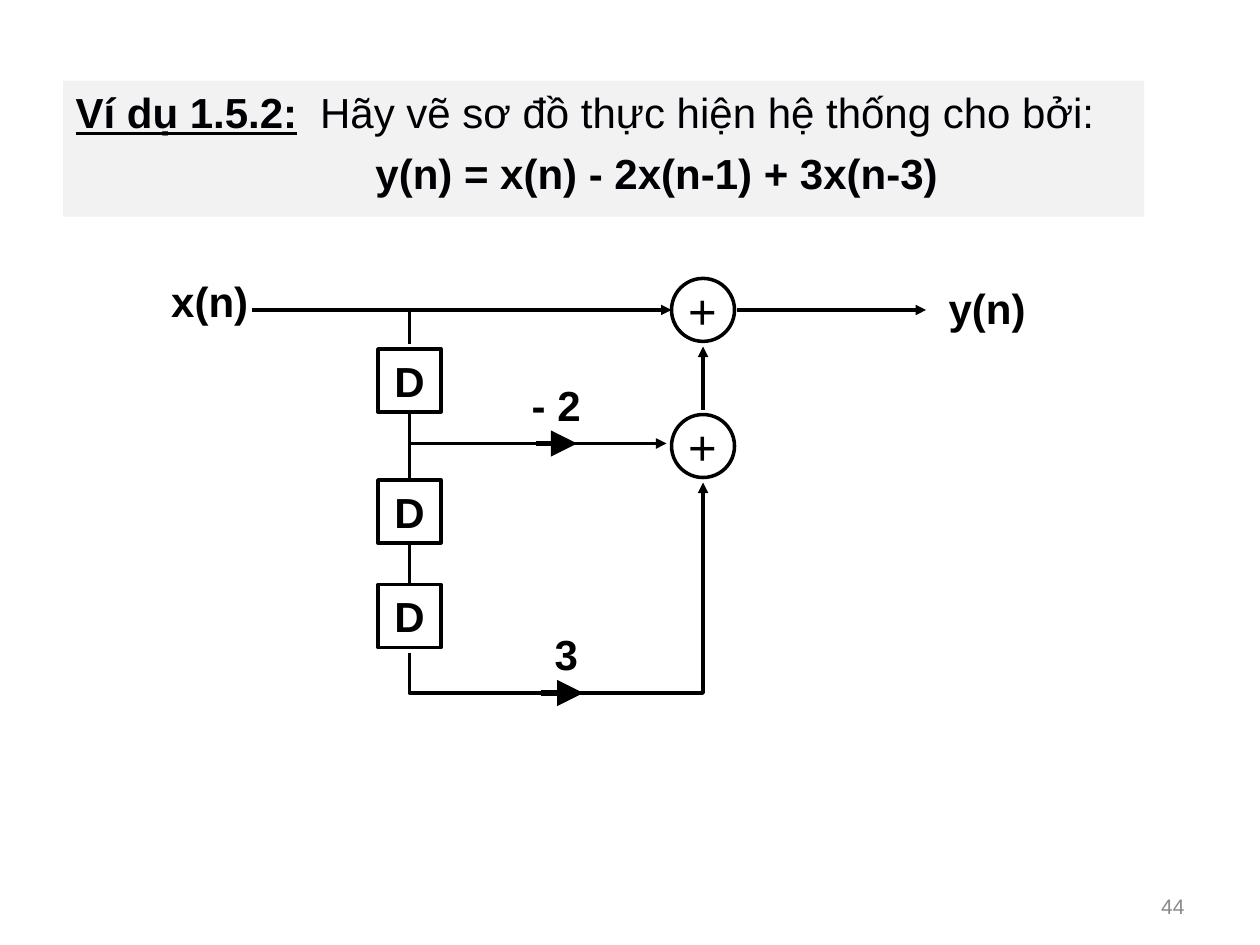
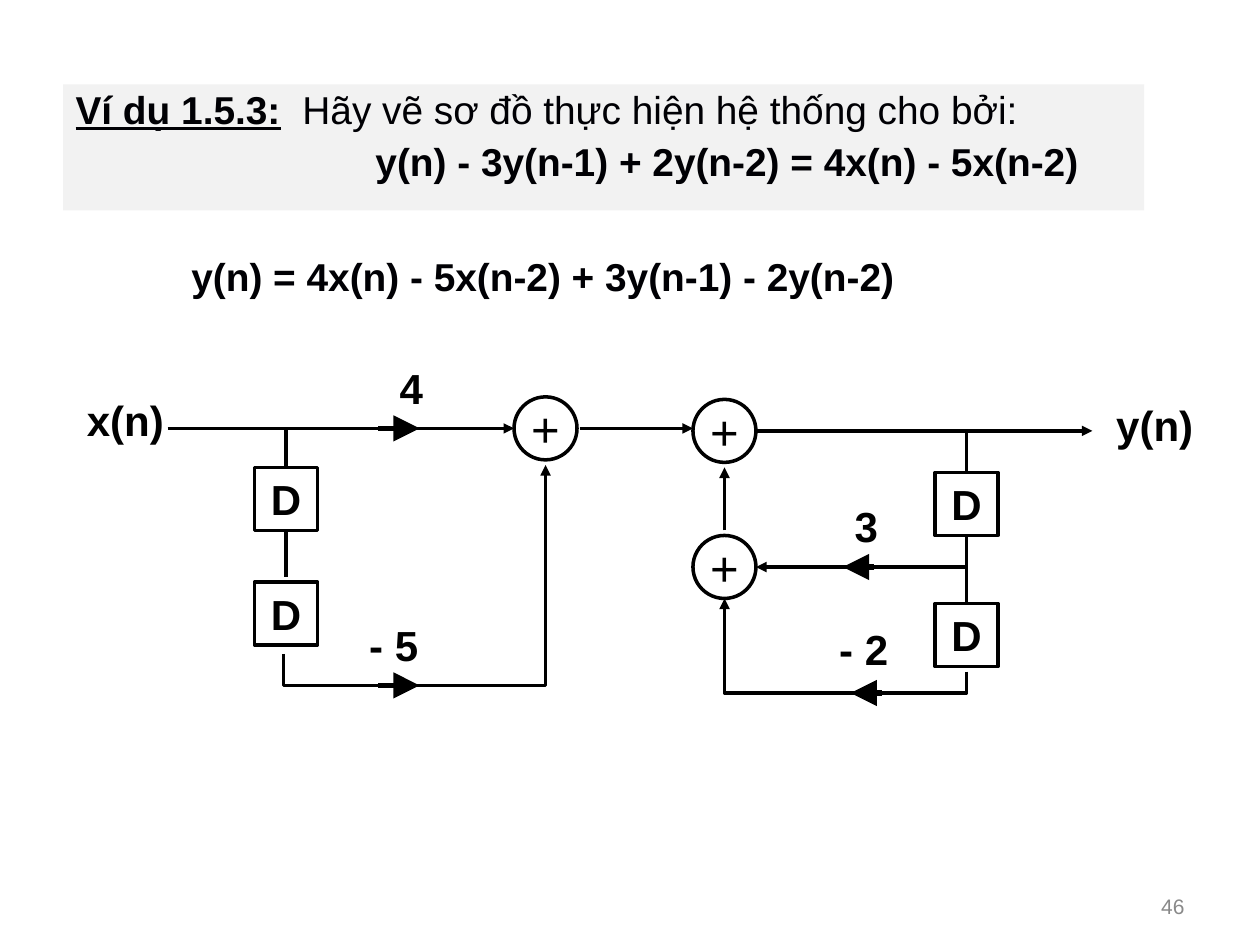
from dataclasses import dataclass
from lxml import etree
from pptx import Presentation
from pptx.dml.color import RGBColor
from pptx.enum.shapes import MSO_CONNECTOR, MSO_SHAPE
from pptx.enum.text import MSO_ANCHOR, MSO_AUTO_SIZE, PP_ALIGN
from pptx.oxml.ns import qn
from pptx.util import Inches, Pt

RECT, OVAL = MSO_SHAPE.RECTANGLE, MSO_SHAPE.OVAL
LINE = MSO_CONNECTOR.STRAIGHT
TOP, MIDDLE = MSO_ANCHOR.TOP, MSO_ANCHOR.MIDDLE
LEFT, CENTER, RIGHT = PP_ALIGN.LEFT, PP_ALIGN.CENTER, PP_ALIGN.RIGHT
NO_FIT = MSO_AUTO_SIZE.NONE


@dataclass(frozen=True)
class Theme:
    face: str = "Arial"
    ink: str = "000000"
    head: str = "000004"
    band: str = "F2F2F2"
    gray: str = "898989"
    label: float = 24
    plus: float = 28
    foot: float = 12
    wire: float = 2
    gain: float = 3


THEME = Theme()
NODE = 0.5
LABEL = (0.83, 0.5)
SNAP = 0.03
INDENT = 2.38
TASK = "Hãy vẽ sơ đồ thực hiện hệ thống cho bởi:"

SLIDES = [
    dict(
        name="Ví dụ 1.5.2:", rule="y(n) = x(n) - 2x(n-1) + 3x(n-3)",
        band=(0.5, 0.64, 8.58, 1.08), size=24, lead=1, tab=1.94,
        note=None, page="44",
        delays=[(3, 2.77), (3, 3.81), (3, 4.64)],
        sums=[(5.33, 2.21), (5.33, 3.29)],
        labels=[("x(n)", 1.25, 2.14), ("y(n)", 7.42, 2.19),
                ("- 2", 4, 2.96), ("3", 4.08, 4.94)],
        wires=[(3.25, 2.46, 3.25, 2.73), (3.25, 3.29, 3.25, 3.79),
               (3.25, 4.33, 3.25, 4.64)],
        arrows=[(2, 2.46, 5.33, 2.46), (5.85, 2.46, 7.35, 2.46),
                (3.25, 3.52, 5.29, 3.52), (5.58, 3.25, 5.58, 2.75)],
        gains=[(4.25, 3.52, 4.58, 3.52), (4.29, 5.5, 4.63, 5.5)],
        bends=[(3.25, 5.18, 5.5, 5.58, 3.83)],
    ),
    dict(
        name="Ví dụ 1.5.3:", rule="y(n) - 3y(n-1) + 2y(n-2) = 4x(n) - 5x(n-2)",
        band=(0.5, 0.67, 8.58, 1), size=22.2, lead=0.9, tab=1.8,
        note="y(n) = 4x(n) - 5x(n-2) + 3y(n-1) - 2y(n-2)", page="46",
        delays=[(2.02, 3.71), (2.02, 4.62), (7.42, 3.75), (7.42, 4.79)],
        sums=[(4.08, 3.15), (5.5, 3.17), (5.5, 4.25)],
        labels=[("x(n)", 0.58, 3.08), ("y(n)", 8.75, 3.12),
                ("4", 2.85, 2.83), ("- 5", 2.71, 4.87),
                ("3", 6.46, 3.92), ("- 2", 6.44, 4.9)],
        wires=[(2.27, 3.4, 2.27, 3.73), (2.27, 4.23, 2.27, 4.58),
               (7.67, 3.44, 7.67, 3.77), (7.67, 4.27, 7.67, 4.77)],
        arrows=[(1.33, 3.4, 4.08, 3.4), (4.6, 3.4, 5.5, 3.4),
                (6, 3.42, 8.67, 3.42), (7.67, 4.5, 6, 4.5),
                (5.75, 4.21, 5.75, 3.71)],
        gains=[(3, 3.4, 3.33, 3.4), (3, 5.44, 3.33, 5.44),
               (6.94, 4.5, 6.69, 4.5), (7, 5.5, 6.75, 5.5)],
        bends=[(2.25, 5.19, 5.44, 4.33, 3.69), (7.67, 5.33, 5.5, 5.75, 4.75)],
    ),
]


def color(code):
    return RGBColor.from_string(code)


def style(para, size, ink, bold, align, lead=1):
    para.alignment = align
    para.line_spacing = lead
    font = para.font
    font.name, font.size, font.bold = THEME.face, Pt(size), bold
    font.color.rgb = color(ink)


def write(shape, text, size, ink=THEME.ink, bold=True, align=CENTER,
          anchor=TOP, wrap=True, lead=1):
    frame = shape.text_frame
    frame.word_wrap, frame.vertical_anchor = wrap, anchor
    frame.text = text
    style(frame.paragraphs[0], size, ink, bold, align, lead)


def add_text(slide, box, text, size, **look):
    write(slide.shapes.add_textbox(*map(Inches, box)), text, size, **look)


def add_node(slide, kind, spot, text, size, bold):
    node = slide.shapes.add_shape(kind, *map(Inches, (*spot, NODE, NODE)))
    node.shadow.inherit = False
    node.fill.background()
    ink(node, THEME.wire)
    write(node, text, size, bold=bold, anchor=MIDDLE, wrap=False)
    return node


def ink(shape, width, head=None):
    shape.line.color.rgb = color(THEME.ink)
    shape.line.width = Pt(width)
    if head:
        ln = shape.element.spPr.find(qn("a:ln"))
        etree.SubElement(ln, qn("a:tailEnd"), type="triangle", w=head, len=head)


def add_wire(slide, ends, boxes, width, head):
    wire = slide.shapes.add_connector(LINE, *map(Inches, ends))
    ink(wire, width, head)
    etree.SubElement(wire.element.spPr, qn("a:effectLst"))
    for join, x, y in ((wire.begin_connect, *ends[:2]),
                       (wire.end_connect, *ends[2:])):
        for box, (left, top) in boxes:
            for side, edge in ((0, top), (2, top + NODE)):
                if max(abs(x - left - NODE / 2), abs(y - edge)) < SNAP:
                    join(box, side)


def add_bend(slide, x1, start, floor, x2, end):
    pen = slide.shapes.build_freeform(Inches(x1), Inches(start))
    pen.add_line_segments([(Inches(x), Inches(y)) for x, y in
                           ((x1, floor), (x2, floor), (x2, end))], close=False)
    bend = pen.convert_to_shape()
    bend.shadow.inherit = False
    bend.fill.background()
    ink(bend, THEME.wire, "med")


def add_head(slide, page):
    title = slide.shapes.title
    title.left, title.top, title.width, title.height = map(Inches, page["band"])
    title.fill.solid()
    title.fill.fore_color.rgb = color(THEME.band)
    frame = title.text_frame
    frame.auto_size, frame.vertical_anchor = NO_FIT, TOP
    frame.word_wrap = True
    first, last = frame.paragraphs[0], frame.add_paragraph()

    name = first.add_run()
    name.text = page["name"]
    name.font.bold = name.font.underline = True
    first.add_run().text = "\t" + TASK
    first.line_spacing = page["lead"]
    props = first._p.get_or_add_pPr()
    tabs = etree.SubElement(props, qn("a:tabLst"))
    etree.SubElement(tabs, qn("a:tab"), pos=str(Inches(page["tab"])), algn="l")

    last.text = page["rule"]
    last.space_before = Pt(6)
    last._p.get_or_add_pPr().set("marL", str(Inches(INDENT)))
    for para, bold in ((first, False), (last, True)):
        style(para, page["size"], THEME.head, bold, LEFT, page["lead"])


def build(deck, page):
    slide = deck.slides.add_slide(deck.slide_layouts[5])
    add_head(slide, page)
    if page["note"]:
        add_text(slide, (1.42, 2, 6.58, 0.5), page["note"], page["size"],
                 ink=THEME.head, align=LEFT, lead=page["lead"])
    boxes = [(add_node(slide, RECT, spot, "D", THEME.label, True), spot)
             for spot in page["delays"]]
    for spot in page["sums"]:
        add_node(slide, OVAL, spot, "+", THEME.plus, False)
    for kind, width, head in (("wires", THEME.wire, None),
                              ("arrows", THEME.wire, "med"),
                              ("gains", THEME.gain, "lg")):
        for ends in page[kind]:
            add_wire(slide, ends, boxes, width, head)
    for bend in page["bends"]:
        add_bend(slide, *bend)
    for text, x, y in page["labels"]:
        add_text(slide, (x, y, *LABEL), text, THEME.label)
    add_text(slide, (7.17, 6.95, 2.33, 0.4), page["page"], THEME.foot,
             ink=THEME.gray, bold=False, align=RIGHT, anchor=MIDDLE, lead=1.4)


def main():
    deck = Presentation()
    deck.slide_width, deck.slide_height = Inches(10), Inches(7.5)
    for page in SLIDES:
        build(deck, page)
    deck.save("out.pptx")


if __name__ == "__main__":
    main()
